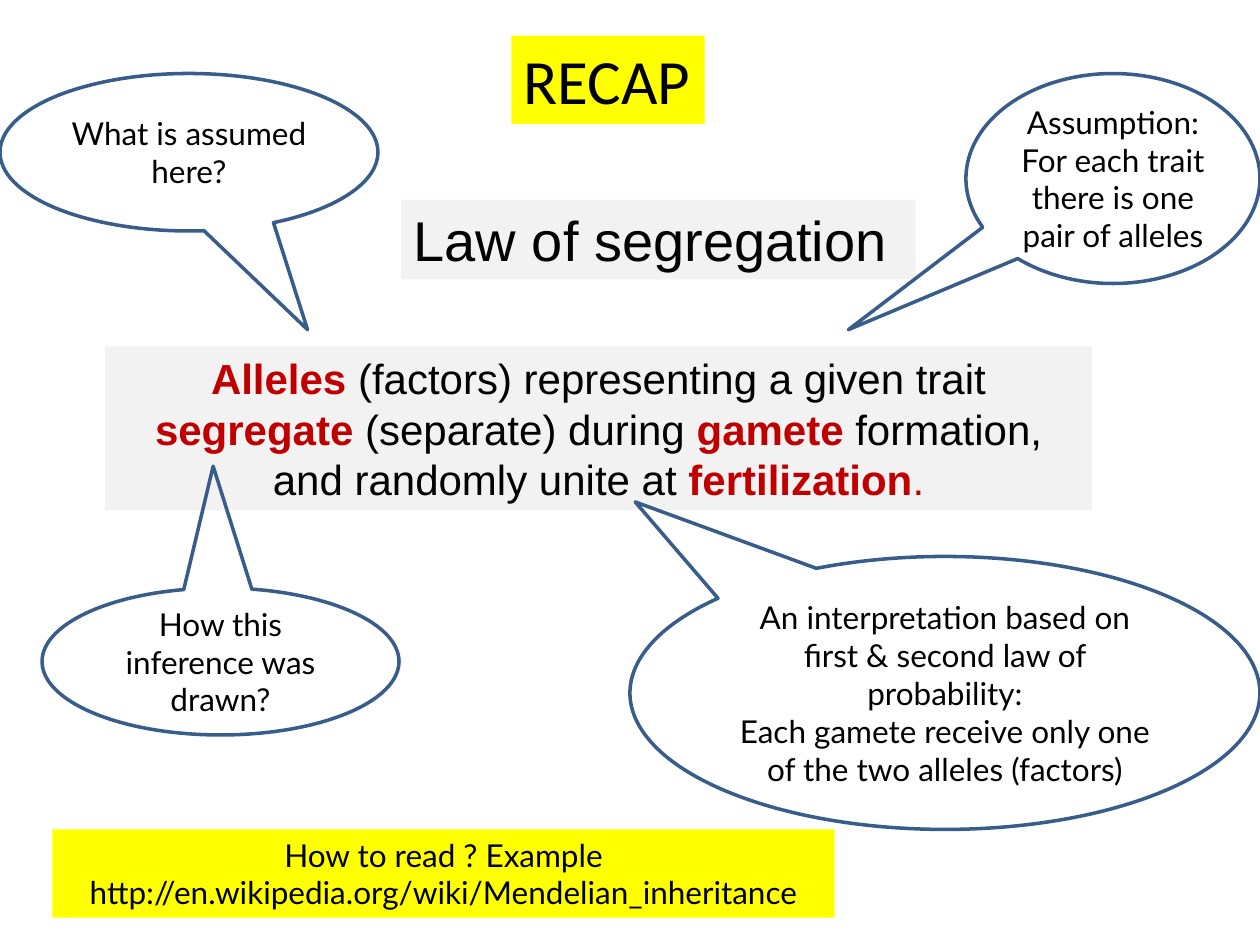
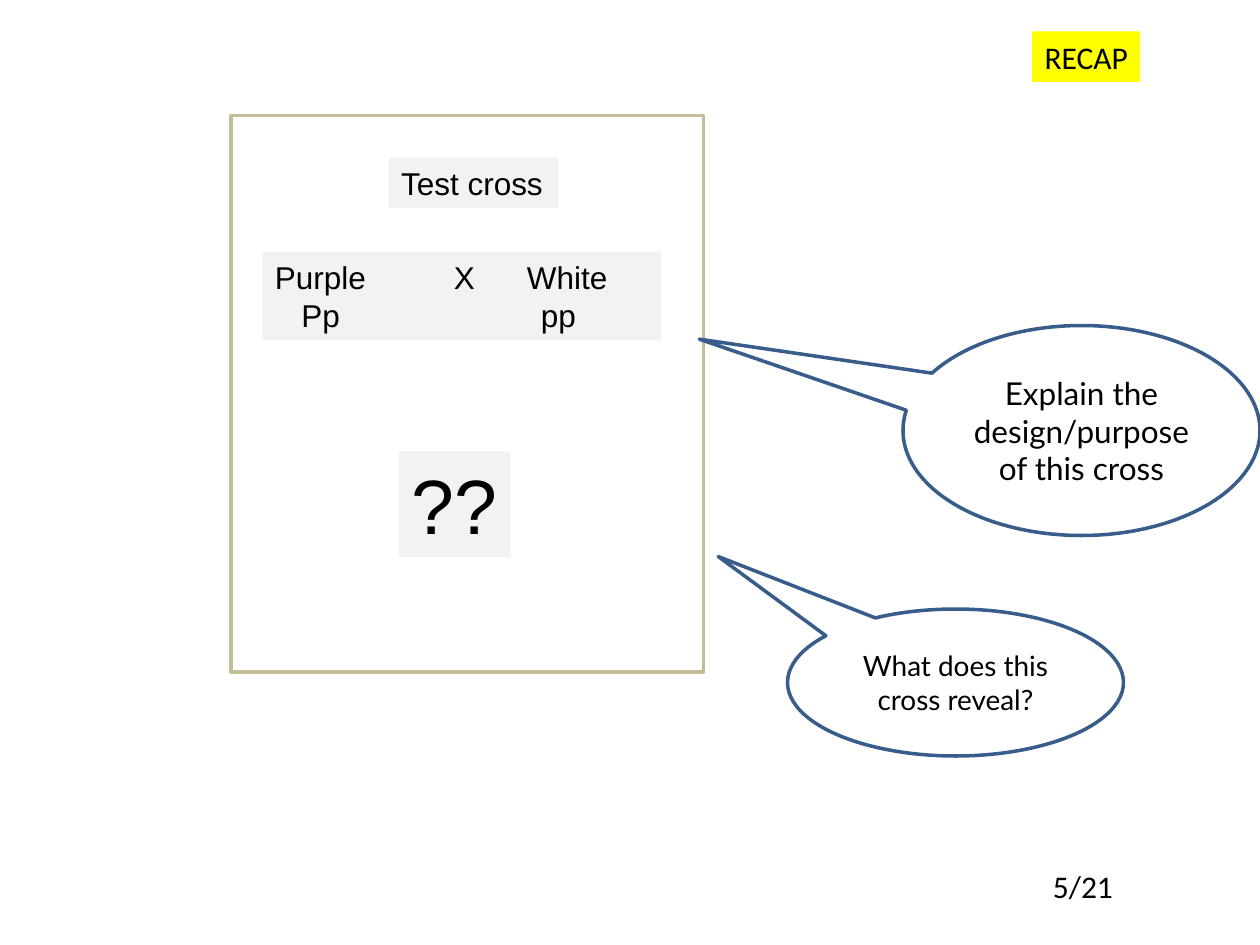
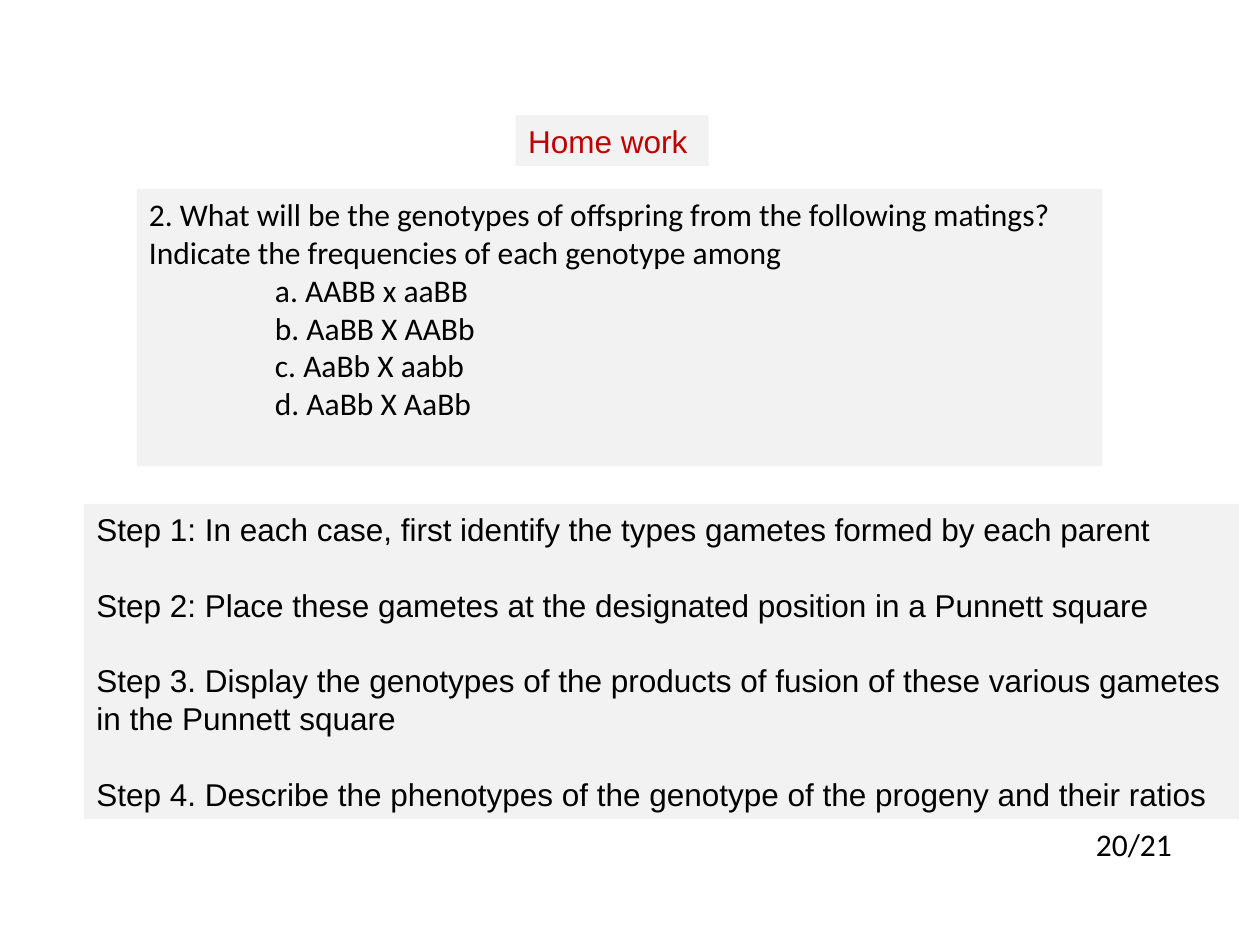
from lxml import etree
from pptx import Presentation
from pptx import util as u
from pptx.dml.color import RGBColor
from pptx.enum import shapes, text
from pptx.oxml import ns

BLACK = RGBColor(0x00, 0x00, 0x00)
RED = RGBColor(0xC0, 0x00, 0x00)
GREY = RGBColor(0xF2, 0xF2, 0xF2)
YELLOW = RGBColor(0xFF, 0xFF, 0x00)
BLUE = RGBColor(0x38, 0x5D, 0x8A)
TAN = RGBColor(0xC4, 0xBD, 0x97)

CELL = u.Inches(1) / 12
LINE_HEIGHT = 1.2
LEFT, CENTER = text.PP_ALIGN.LEFT, text.PP_ALIGN.CENTER
TOP, MIDDLE = text.MSO_ANCHOR.TOP, text.MSO_ANCHOR.MIDDLE


def cells(*lengths):
    """Turn grid cells, twelve to the inch, into slide units."""
    return [u.Emu(round(length * CELL)) for length in lengths]


def write(shape, lines, font, size=18, color=BLACK, align=LEFT, anchor=TOP,
          wrap=True, gap=0):
    """Fill a shape with one paragraph per line and return the paragraphs."""
    frame = shape.text_frame
    frame.auto_size = text.MSO_AUTO_SIZE.NONE
    frame.word_wrap = wrap
    frame.vertical_anchor = anchor
    frame.text = "\n".join(lines)
    for index, paragraph in enumerate(frame.paragraphs):
        paragraph.alignment = align
        paragraph.line_spacing = u.Pt(size * LINE_HEIGHT)
        paragraph.space_before = u.Pt(gap if index else 0)
        paragraph.font.name = font
        paragraph.font.size = u.Pt(size)
        paragraph.font.color.rgb = color
    return frame.paragraphs


def add_outline(slide, preset, box, color):
    shape = slide.shapes.add_shape(preset, *cells(*box))
    shape.shadow.inherit = False
    shape.fill.background()
    shape.line.color.rgb = color
    shape.line.width = u.Pt(2)
    return shape


def add_panel(slide, box, fill, lines, font, **style):
    panel = slide.shapes.add_shape(shapes.MSO_SHAPE.RECTANGLE, *cells(*box))
    panel.shadow.inherit = False
    panel.fill.solid()
    panel.fill.fore_color.rgb = fill
    panel.line.fill.background()
    return write(panel, lines, font, **style)


def add_callout(slide, box, tip, lines, size=18):
    """Draw a speech bubble whose tail ends at the grid point tip."""
    callout = add_outline(slide, shapes.MSO_SHAPE.OVAL_CALLOUT, box, BLUE)
    left, top, width, height = box
    callout.adjustments[0] = (tip[0] - left) / width - 0.5
    callout.adjustments[1] = (tip[1] - top) / height - 0.5
    write(callout, lines, "Lato", size, align=CENTER, anchor=MIDDLE)


def add_titled_slide(presentation, title, box, size=18, color=BLACK):
    slide = presentation.slides.add_slide(presentation.slide_layouts[5])
    heading = slide.shapes.title
    heading.left, heading.top, heading.width, heading.height = cells(*box)
    heading.fill.solid()
    heading.fill.fore_color.rgb = GREY
    write(heading, [title], "Arial", size, color, wrap=False)
    return slide


def add_page_number(slide, box, number):
    write(slide.shapes.add_textbox(*cells(*box)), [f"{number}/21"], "Calibri", wrap=False)


def set_tabs(paragraph, stops):
    tabs = etree.SubElement(paragraph._p.get_or_add_pPr(), ns.qn("a:tabLst"))
    for stop in stops:
        etree.SubElement(tabs, ns.qn("a:tab"), pos=str(u.Inches(stop)), algn="l")


def add_law(slide, box):
    parts = [
        ("Alleles", RED, True), (" (factors) representing a given trait ", BLACK, False),
        ("segregate", RED, True), (" (separate) during ", BLACK, False),
        ("gamete", RED, True), (" formation, and randomly unite at ", BLACK, False),
        ("fertilization", RED, True), (".", RED, False),
    ]
    paragraph = add_panel(slide, box, GREY, [""], "Arial", size=24, align=CENTER)[0]
    for words, color, bold in parts:
        run = paragraph.add_run()
        run.text = words
        run.font.color.rgb = color
        run.font.bold = bold


def add_cross(slide, box):
    """Draw the framed test cross: parents above, unknown offspring below."""
    left, top, width, height = box
    parents = add_panel(slide, (left + 3, top + 13, 38, 8.4), GREY, ["", ""], "Arial")
    rows = [("Purple\tX\tWhite", (1.42, 2)), ("\tPp\tpp", (0.21, 2.11))]
    for paragraph, (words, stops) in zip(parents, rows):
        set_tabs(paragraph, stops)
        paragraph.add_run().text = words
    add_panel(slide, (left + 16, top + 32, 10.6, 10.1), GREY, ["??"], "Arial",
              size=44, wrap=False)
    add_outline(slide, shapes.MSO_SHAPE.RECTANGLE, box, TAN)


def add_matings(slide, box):
    question = ("2. What will be the genotypes of offspring from the following matings? "
                "Indicate the frequencies of each genotype among")
    matings = ["a. AABB x aaBB", "b. AaBB X AABb", "c. AaBb X aabb", "d. AaBb X AaBb"]
    paragraphs = add_panel(slide, box, GREY, [question, *matings], "Calibri")
    for paragraph in paragraphs[1:]:
        paragraph._p.get_or_add_pPr().set("marL", str(u.Inches(1)))


def build_law_slide(presentation):
    slide = add_titled_slide(presentation, "Law of segregation", (38.2, 19, 49, 7.6), 32)
    add_law(slide, (10, 33, 94, 15.6))
    add_callout(slide, (0, 7, 36, 15), (29.3, 31.4), ["What is assumed here?"])
    add_callout(slide, (4, 56, 34, 14), (20.3, 44.4), ["How this inference was drawn?"])
    add_panel(slide, (48.7, 3.4, 18.4, 8.4), YELLOW, ["RECAP"], "Calibri",
              size=36, wrap=False)
    add_callout(slide, (92, 7, 28, 20), (80.8, 31.4),
                ["Assumption:", "For each trait there is one pair of alleles"])
    add_callout(slide, (60, 53, 60, 26), (60.5, 47.8),
                ["An interpretation based on first & second law of probability:",
                 "Each gamete receive only one of the two alleles (factors)"])
    add_panel(slide, (5, 79, 74.5, 8.4), YELLOW,
              ["How to read ? Example", "http://en.wikipedia.org/wiki/Mendelian_inheritance"],
              "Lato", align=CENTER, wrap=False)


def build_cross_slide(presentation):
    slide = add_titled_slide(presentation, "Test cross", (37, 15, 16.2, 4.8))
    add_cross(slide, (22, 11, 45, 53))
    add_callout(slide, (75, 58, 32, 14), (68.4, 53), ["What does this cross reveal?"], 16)
    add_callout(slide, (86, 31, 34, 20), (66.6, 32.3),
                ["Explain the design/purpose of this cross"])
    add_panel(slide, (98.3, 3, 10.3, 4.8), YELLOW, ["RECAP"], "Calibri", wrap=False)
    add_page_number(slide, (99.1, 82, 8, 4.8), 5)


def build_homework_slide(presentation):
    slide = add_titled_slide(presentation, "Home work", (49.1, 11, 18.4, 4.8), color=RED)
    add_matings(slide, (13, 18, 92, 26.4))
    steps = [
        "Step 1: In each case, first identify the types gametes formed by each parent",
        "Step 2: Place these gametes at the designated position in a Punnett square",
        "Step 3. Display the genotypes of the products of fusion of these various gametes "
        "in the Punnett square",
        "Step 4. Describe the phenotypes of the genotype of the progeny and their ratios",
    ]
    add_panel(slide, (8, 48, 110, 30), GREY, steps, "Arial", gap=18 * LINE_HEIGHT)
    add_page_number(slide, (103.2, 78, 9.6, 4.8), 20)


def main():
    presentation = Presentation()
    presentation.slide_width, presentation.slide_height = cells(120, 90)
    build_law_slide(presentation)
    build_cross_slide(presentation)
    build_homework_slide(presentation)
    presentation.save("out.pptx")


if __name__ == "__main__":
    main()
